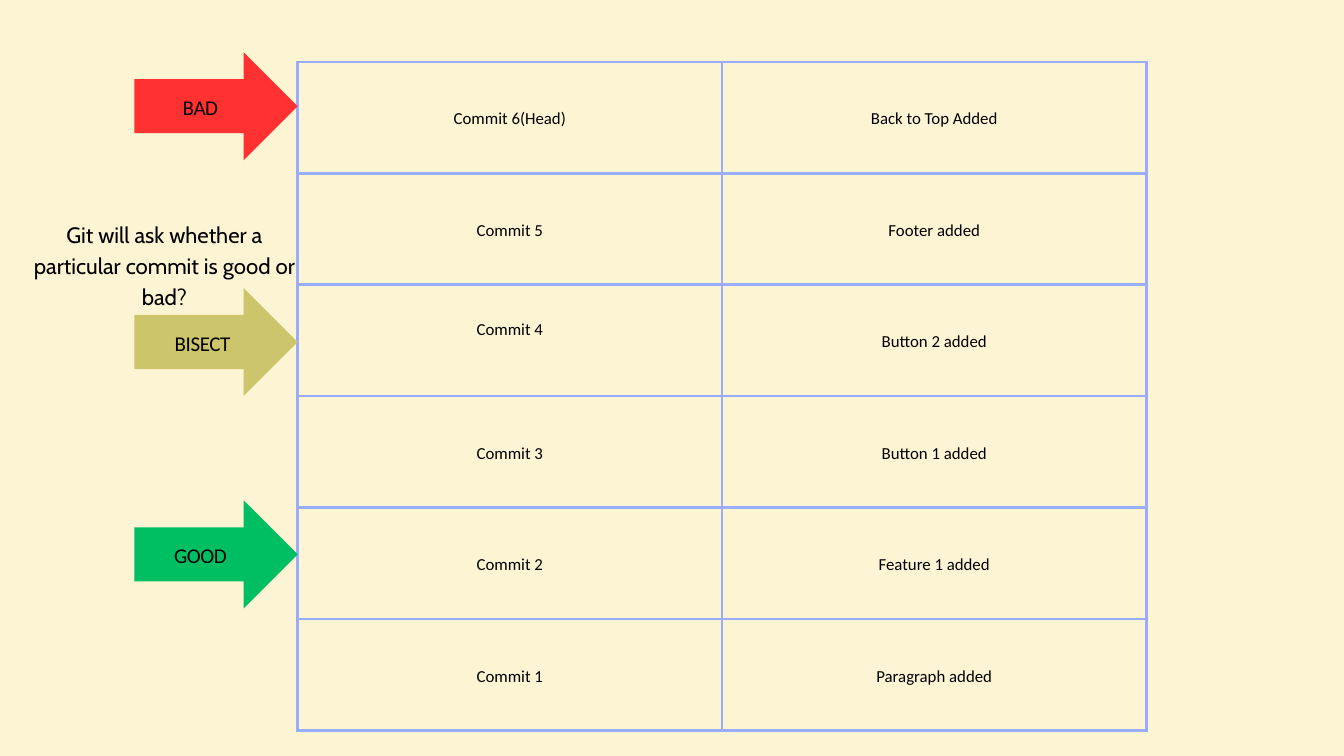
"""Builds a slide that shows how git bisect narrows down a bad commit."""
from dataclasses import dataclass

from lxml.etree import SubElement
from pptx import Presentation
from pptx.dml.color import RGBColor
from pptx.enum.shapes import MSO_SHAPE as Preset
from pptx.enum.text import MSO_ANCHOR as Anchor, PP_ALIGN as Align
from pptx.oxml.ns import qn
from pptx.util import Inches, Pt


@dataclass(frozen=True)
class Theme:
    background: str = "FDF4D3"
    border: str = "99ACFF"
    text: str = "000000"
    bad: str = "FF3131"
    good: str = "00BF63"
    bisect: str = "CCC56B"
    body_font: str = "Calibri"
    question_font: str = "Cabin"
    cell_size: float = 18
    label_size: float = 22.5
    question_size: float = 23.8
    leading: float = 1.4
    border_width: float = 3
    cell_inset: float = 0.21


class CommitSlide:
    COLUMNS, ROWS = 20, 11.25

    def __init__(self, presentation, theme):
        self.theme = theme
        self.column = presentation.slide_width / self.COLUMNS
        self.row = presentation.slide_height / self.ROWS
        self.slide = presentation.slides.add_slide(presentation.slide_layouts[6])
        self.fill(self.slide.background, theme.background)

    def place(self, left, top, width, height):
        units = (self.column, self.row) * 2
        return [round(value * unit) for value, unit in zip((left, top, width, height), units)]

    def fill(self, target, color):
        target.fill.solid()
        target.fill.fore_color.rgb = RGBColor.from_string(color)

    def set_text(self, frame, text, size, font, spacing=None):
        paragraph = frame.paragraphs[0]
        paragraph.alignment = Align.CENTER
        paragraph.line_spacing = Pt(size * self.theme.leading)
        run = paragraph.add_run()
        run.text = text
        for name, value in {"size": Pt(size), "name": font}.items():
            setattr(run.font, name, value)
        run.font.color.rgb = RGBColor.from_string(self.theme.text)
        if spacing is not None:
            run._r.get_or_add_rPr().set("spc", str(round(spacing * 100)))

    def text(self, box, text, size, font, spacing=None):
        frame = self.slide.shapes.add_textbox(*self.place(*box)).text_frame
        frame.word_wrap = True
        for side in ("left", "top", "right", "bottom"):
            setattr(frame, f"margin_{side}", 0)
        self.set_text(frame, text, size, font, spacing)

    def arrow(self, box, color):
        shape = self.slide.shapes.add_shape(Preset.RIGHT_ARROW, *self.place(*box))
        shape.shadow.inherit = False
        shape.line.fill.background()
        self.fill(shape, color)

    def cell_borders(self, cell):
        properties = cell._tc.get_or_add_tcPr()
        for side in ("lnL", "lnR", "lnT", "lnB"):
            line = SubElement(properties, qn(f"a:{side}"), w=str(Pt(self.theme.border_width)))
            solid = SubElement(line, qn("a:solidFill"))
            SubElement(solid, qn("a:srgbClr"), val=self.theme.border)

    def table(self, box, rows, raised):
        theme = self.theme
        shape = self.slide.shapes.add_table(len(rows), len(rows[0]), *self.place(*box))
        table = shape.table
        table.first_row = table.horz_banding = False
        for row_index, row in enumerate(rows):
            for column_index, text in enumerate(row):
                cell = table.cell(row_index, column_index)
                cell.vertical_anchor = Anchor.MIDDLE
                for side in ("left", "top", "right", "bottom"):
                    setattr(cell, f"margin_{side}", Inches(theme.cell_inset))
                if text in raised:
                    cell.margin_bottom = Inches(theme.cell_inset) + Pt(theme.cell_size * theme.leading)
                self.cell_borders(cell)
                cell.fill.background()
                self.set_text(cell.text_frame, text, theme.cell_size, theme.body_font)


def main():
    presentation = Presentation()
    presentation.slide_width, presentation.slide_height = Inches(20), Inches(11.25)
    theme = Theme()
    slide = CommitSlide(presentation, theme)

    commits = [
        ("Commit 6(Head)", "Back to Top Added"),
        ("Commit 5", "Footer added"),
        ("Commit 4", "Button 2 added"),
        ("Commit 3", "Button 1 added"),
        ("Commit 2", "Feature 1 added"),
        ("Commit 1", "Paragraph added"),
    ]
    slide.table((4.43, 0.92, 12.63, 9.95), commits, raised={"Commit 4"})

    markers = [
        ("BAD ", 1.58, theme.bad),
        ("GOOD ", 8.25, theme.good),
        ("BISECT", 5.09, theme.bisect),
    ]
    arrow_width, arrow_height = 2.43, 1.61
    for label, middle, color in markers:
        slide.arrow((2, middle - arrow_height / 2, arrow_width, arrow_height), color)
    for label, middle, color in markers:
        slide.text((1.8, middle - 0.24, arrow_width, 0.43), label,
                   theme.label_size, theme.body_font, spacing=-0.5)

    slide.text((0.46, 3.22, 3.97, 1.37), "Git will ask whether a particular commit is good or bad?",
               theme.question_size, theme.question_font)
    presentation.save("out.pptx")


if __name__ == "__main__":
    main()
